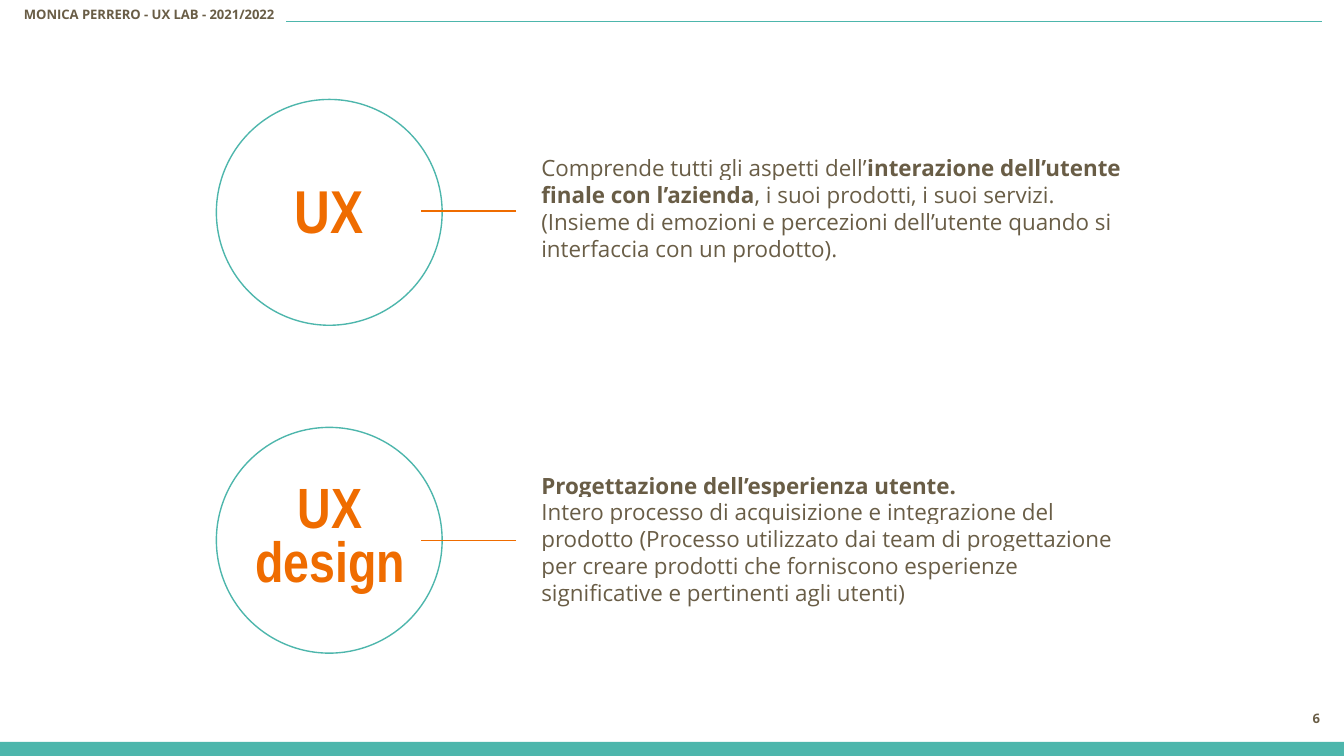
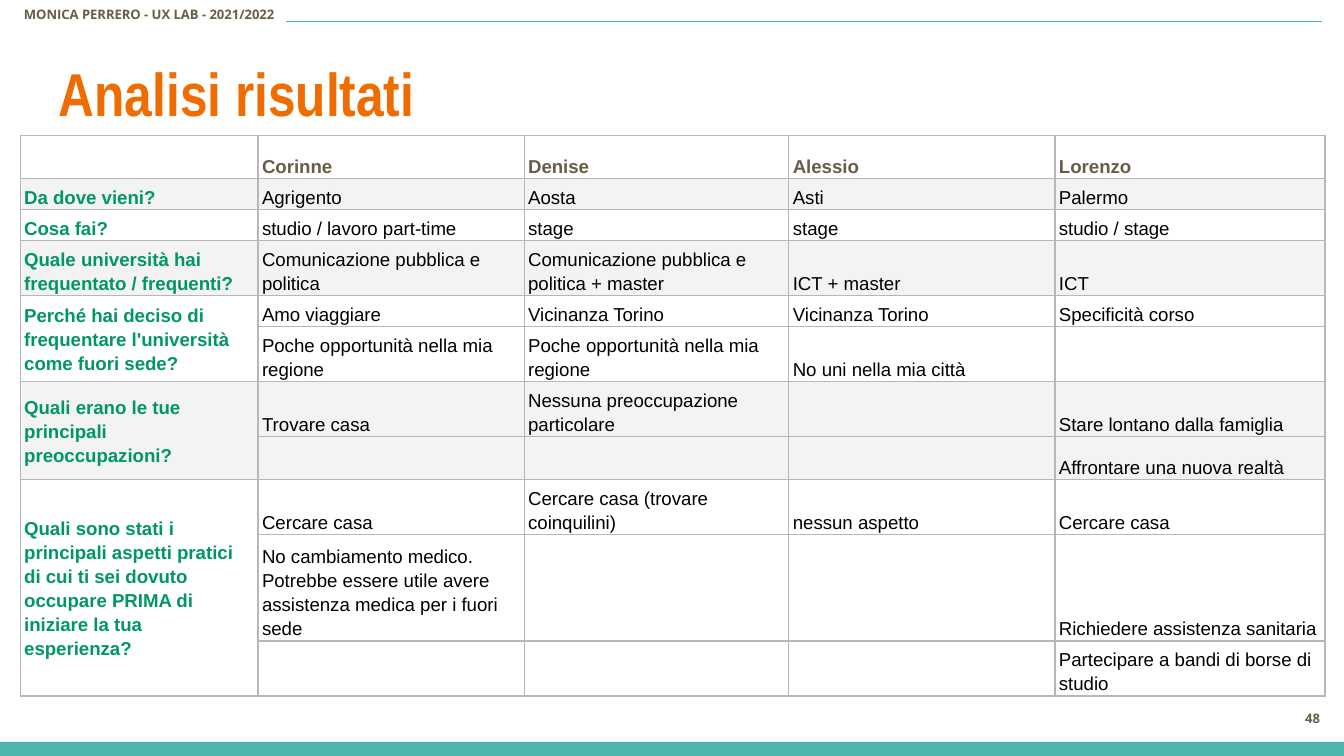
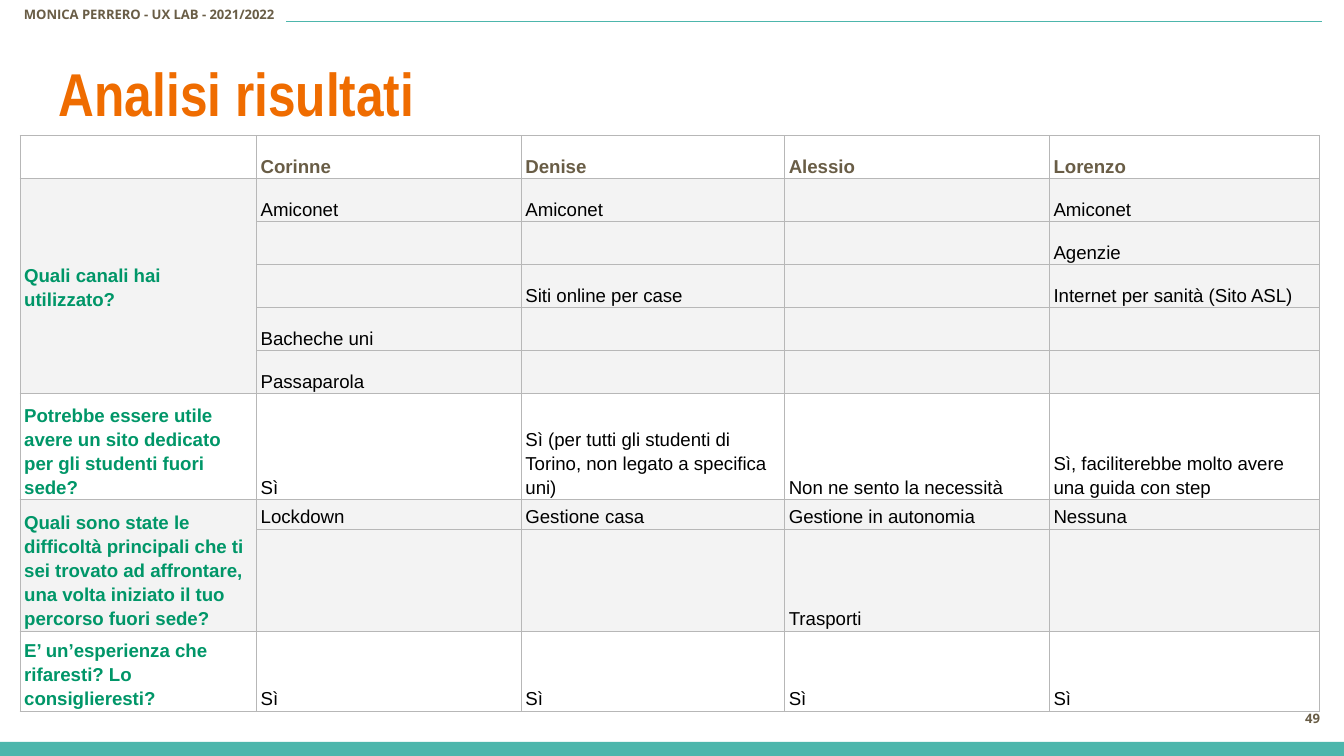
"""Build three UX lab slides: two definitions and two tables of interview results."""
import copy
from dataclasses import dataclass

import lxml.etree
import pptx
import pptx.dml.color
import pptx.enum.shapes
import pptx.enum.text
import pptx.oxml.ns
import pptx.util
from pptx.util import Inches

COLORS = {
    "teal": "4DB6AC",
    "orange": "EF6C00",
    "brown": "695D46",
    "green": "009668",
    "black": "000000",
    "white": "FFFFFF",
    "band": "F3F3F3",
    "grid": "B7B7B7",
}
TITLE = {"font": "Arial Narrow", "size": 32.4, "color": "orange", "bold": True}
BODY = {"font": "Open Sans", "size": 12, "color": "brown"}
SMALL = {"font": "Open Sans", "size": 7, "color": "brown", "bold": True}
CELL = {"font": "Arial", "size": 10}
ALIGN = pptx.enum.text.PP_ALIGN
ANCHOR = pptx.enum.text.MSO_ANCHOR
SHAPE = pptx.enum.shapes.MSO_SHAPE
STUDENTS = ("Corinne", "Denise", "Alessio", "Lorenzo")


@dataclass(frozen=True)
class Box:
    left: float
    top: float
    width: float
    height: float

    def lengths(self) -> tuple:
        return tuple(Inches(value) for value in (self.left, self.top, self.width, self.height))


@dataclass(frozen=True)
class Run:
    text: str
    bold: bool = False
    highlight: str | None = "white"


@dataclass(frozen=True)
class Definition:
    term: tuple[str, ...]
    term_box: Box
    term_size: float
    term_spacing: float
    circle_top: float
    line_y: float
    body_box: Box
    body: tuple[tuple[Run, ...], ...]


@dataclass(frozen=True)
class Question:
    prompt: str
    answers: tuple[tuple[str, str, str, str], ...]


@dataclass(frozen=True)
class Results:
    number: int
    column_widths: tuple[float, ...]
    row_heights: tuple[float, ...]
    questions: tuple[Question, ...]


DEFINITIONS = (
    Definition(
        ("UX",), Box(1.61, 1.19, 1.68, 0.77), 32.4, 1.0, 0.74, 1.57, Box(3.93, 1.05, 4.66, 1.21),
        ((
            Run("Comprende tutti gli aspetti dell’"),
            Run("interazione dell’utente finale con l’azienda", bold=True),
            Run(", i suoi prodotti, i suoi servizi. \n("),
            Run("Insieme di emozioni e percezioni dell’utente quando si interfaccia con un prodotto).",
                highlight=None),
        ),),
    ),
    Definition(
        ("UX", "design"), Box(1.51, 3.22, 1.89, 1.58), 30.4, 0.8, 3.18, 4.02,
        Box(3.93, 3.41, 4.66, 1.3),
        (
            (Run("Progettazione dell’esperienza utente.", bold=True),),
            (Run("Intero processo di acquisizione e integrazione del prodotto (Processo utilizzato "
                 "dai team di progettazione per creare prodotti che forniscono esperienze "
                 "significative e pertinenti agli utenti)"),),
        ),
    ),
)

RESULTS = (
    Results(
        48,
        (1.77, 1.98, 1.97, 1.98, 2.01),
        (0.27, 0.23, 0.23, 0.41, 0.23, 0.41, 0.41, 0.27, 0.41, 0.79, 0.41),
        (
            Question("Da dove vieni?", (("Agrigento", "Aosta", "Asti", "Palermo"),)),
            Question("Cosa fai?", (
                ("studio / lavoro part-time", "stage", "stage", "studio / stage"),
            )),
            Question("Quale università hai frequentato / frequenti?", (
                ("Comunicazione pubblica e politica", "Comunicazione pubblica e politica + master",
                 "ICT + master", "ICT"),
            )),
            Question("Perché hai deciso di frequentare l'università come fuori sede?", (
                ("Amo viaggiare", "Vicinanza Torino", "Vicinanza Torino", "Specificità corso"),
                ("Poche opportunità nella mia regione", "Poche opportunità nella mia regione",
                 "No uni nella mia città", ""),
            )),
            Question("Quali erano le tue principali preoccupazioni?", (
                ("Trovare casa", "Nessuna preoccupazione particolare", "",
                 "Stare lontano dalla famiglia"),
                ("", "", "", "Affrontare una nuova realtà"),
            )),
            Question("Quali sono stati i principali aspetti pratici di cui ti sei dovuto occupare "
                     "PRIMA di iniziare la tua esperienza?", (
                ("Cercare casa", "Cercare casa (trovare coinquilini)", "nessun aspetto",
                 "Cercare casa"),
                ("No cambiamento medico. Potrebbe essere utile avere assistenza medica per i "
                 "fuori sede", "", "", "Richiedere assistenza sanitaria"),
                ("", "", "", "Partecipare a bandi di borse di studio"),
            )),
        ),
    ),
    Results(
        49,
        (1.76, 1.97, 1.96, 1.97, 2.01),
        (0.27, 0.27, 0.27, 0.27, 0.27, 0.27, 0.54, 0.22, 0.68, 0.54),
        (
            Question("Quali canali hai utilizzato?", (
                ("Amiconet", "Amiconet", "", "Amiconet"),
                ("", "", "", "Agenzie"),
                ("", "Siti online per case", "", "Internet per sanità (Sito ASL)"),
                ("Bacheche uni", "", "", ""),
                ("Passaparola", "", "", ""),
            )),
            Question("Potrebbe essere utile avere un sito dedicato per gli studenti fuori sede?", (
                ("Sì", "Sì (per tutti gli studenti di Torino, non legato a specifica uni)",
                 "Non ne sento la necessità", "Sì, faciliterebbe molto avere una guida con step"),
            )),
            Question("Quali sono state le difficoltà principali che ti sei trovato ad affrontare, "
                     "una volta iniziato il tuo percorso fuori sede?", (
                ("Lockdown", "Gestione casa", "Gestione in autonomia", "Nessuna"),
                ("", "", "Trasporti", ""),
            )),
            Question("E’ un’esperienza che rifaresti? Lo consiglieresti?", (("Sì",) * 4,)),
        ),
    ),
)


def rgb(name: str) -> pptx.dml.color.RGBColor:
    return pptx.dml.color.RGBColor.from_string(COLORS[name])


def add_text(paragraph, text: str, *, font: str, size: float, color: str,
             bold: bool = False, highlight: str | None = None) -> None:
    for index, part in enumerate(text.split("\n")):
        if index:
            paragraph.add_line_break()
            paragraph._p[-1].append(copy.deepcopy(run._r.rPr))
        run = paragraph.add_run()
        run.text = part
        run.font.size = pptx.util.Pt(size)
        run.font.bold = bold
        run.font.color.rgb = rgb(color)
        run.font.name = font
        if highlight:
            mark = lxml.etree.Element(pptx.oxml.ns.qn("a:highlight"))
            lxml.etree.SubElement(mark, pptx.oxml.ns.qn("a:srgbClr"), val=COLORS[highlight])
            run._r.rPr.find(pptx.oxml.ns.qn("a:solidFill")).addnext(mark)


def add_text_box(slide, box: Box, paragraphs, *, align=ALIGN.LEFT, anchor=ANCHOR.TOP,
                 spacing: float = 1.0, **text_format):
    frame = slide.shapes.add_textbox(*box.lengths()).text_frame
    frame.word_wrap = True
    frame.vertical_anchor = anchor
    frame.margin_left = frame.margin_right = Inches(0.1)
    frame.margin_top = frame.margin_bottom = Inches(0.1)
    for index, runs in enumerate(paragraphs):
        paragraph = frame.add_paragraph() if index else frame.paragraphs[0]
        paragraph.alignment = align
        if spacing != 1:
            paragraph.line_spacing = spacing
        for run in runs:
            run_format = {"bold": run.bold, "highlight": run.highlight, **text_format}
            add_text(paragraph, run.text, **run_format)
    return frame


def add_plain(slide, box: Box, *lines: str, **text_format):
    paragraphs = [(Run(line, highlight=None),) for line in lines]
    return add_text_box(slide, box, paragraphs, **text_format)


def add_shape(slide, kind, box: Box, *, fill: str | None = None, line: str | None = None) -> None:
    shape = slide.shapes.add_shape(kind, *box.lengths())
    shape.shadow.inherit = False
    if fill:
        shape.fill.solid()
        shape.fill.fore_color.rgb = rgb(fill)
    else:
        shape.fill.background()
    if line:
        shape.line.color.rgb = rgb(line)
        shape.line.width = pptx.util.Pt(0.75)
    else:
        shape.line.fill.background()


def add_level_line(slide, start: float, end: float, y: float, color: str) -> None:
    connector = slide.shapes.add_connector(
        pptx.enum.shapes.MSO_CONNECTOR.STRAIGHT, Inches(start), Inches(y), Inches(end), Inches(y))
    connector.line.color.rgb = rgb(color)
    connector.line.width = pptx.util.Pt(0.75)
    lxml.etree.SubElement(connector._element.spPr, pptx.oxml.ns.qn("a:effectLst"))


def add_slide(presentation, number: int):
    slide = presentation.slides.add_slide(presentation.slide_layouts[6])
    add_shape(slide, SHAPE.RECTANGLE, Box(0, 5.52, 10, 0.11), fill="teal")
    header = add_plain(slide, Box(0.08, -0.01, 2.45, 0.32),
                       "MONICA PERRERO - UX LAB - 2021/2022", **SMALL)
    header.auto_size = pptx.enum.text.MSO_AUTO_SIZE.SHAPE_TO_FIT_TEXT
    add_level_line(slide, 2.13, 9.84, 0.16, "teal")
    add_plain(slide, Box(9.32, 5.13, 0.6, 0.43), str(number),
              align=ALIGN.RIGHT, anchor=ANCHOR.MIDDLE, **SMALL)
    return slide


def add_definition(slide, definition: Definition) -> None:
    add_shape(slide, SHAPE.OVAL, Box(1.61, definition.circle_top, 1.68, 1.68), line="teal")
    add_plain(slide, definition.term_box, *definition.term, align=ALIGN.CENTER,
              anchor=ANCHOR.MIDDLE if len(definition.term) > 1 else ANCHOR.TOP,
              spacing=definition.term_spacing, **{**TITLE, "size": definition.term_size})
    add_text_box(slide, definition.body_box, definition.body, **BODY)
    add_level_line(slide, 3.84, 3.13, definition.line_y, "orange")


def style_cell(cell, shaded: bool) -> None:
    cell.margin_left = cell.margin_right = Inches(0.03)
    cell.margin_top = cell.margin_bottom = Inches(0.01)
    cell.vertical_anchor = ANCHOR.BOTTOM
    properties = cell._tc.get_or_add_tcPr()
    for side in ("lnL", "lnR", "lnT", "lnB"):
        border = lxml.etree.SubElement(properties, pptx.oxml.ns.qn(f"a:{side}"),
                                       w=str(pptx.util.Pt(0.75)))
        fill = lxml.etree.SubElement(border, pptx.oxml.ns.qn("a:solidFill"))
        lxml.etree.SubElement(fill, pptx.oxml.ns.qn("a:srgbClr"), val=COLORS["grid"])
    if shaded:
        cell.fill.solid()
        cell.fill.fore_color.rgb = rgb("band")
    else:
        cell.fill.background()


def write_cell(cell, text: str, color: str, bold: bool) -> None:
    if text:
        paragraph = cell.text_frame.paragraphs[0]
        paragraph.line_spacing = 1.15
        add_text(paragraph, text, color=color, bold=bold, **CELL)


def add_results_table(slide, results: Results) -> None:
    widths, heights = results.column_widths, results.row_heights
    box = Box(0.15, 1.01, 3.28, 3.28)
    frame = slide.shapes.add_table(len(heights), len(widths), *box.lengths())
    table = frame.table
    table.first_row = table.horz_banding = False
    for column, width in zip(table.columns, widths):
        column.width = Inches(width)
    for row, height in zip(table.rows, heights):
        row.height = Inches(height)
    frame.width, frame.height = Inches(box.width), Inches(box.height)
    for column, student in enumerate(("", *STUDENTS)):
        style_cell(table.cell(0, column), shaded=False)
        write_cell(table.cell(0, column), student, "brown", bold=True)
    top = 1
    for index, question in enumerate(results.questions):
        for row, answers in enumerate(question.answers, top):
            for column, answer in enumerate(("", *answers)):
                style_cell(table.cell(row, column), shaded=index % 2 == 0)
                write_cell(table.cell(row, column), answer, "black", bold=False)
        prompt_cell = table.cell(top, 0)
        write_cell(prompt_cell, question.prompt, "green", bold=True)
        span = len(question.answers)
        if span > 1:
            prompt_cell.merge(table.cell(top + span - 1, 0))
            if not question.prompt.startswith("Quali sono state"):
                prompt_cell.vertical_anchor = ANCHOR.MIDDLE
        top += span


def main() -> None:
    presentation = pptx.Presentation()
    presentation.slide_width = Inches(10)
    presentation.slide_height = presentation.slide_width * 9 // 16
    slide = add_slide(presentation, 6)
    for definition in DEFINITIONS:
        add_definition(slide, definition)
    for results in RESULTS:
        slide = add_slide(presentation, results.number)
        add_plain(slide, Box(0.34, 0.32, 9.32, 0.77), "Analisi risultati", **TITLE)
        add_results_table(slide, results)
    presentation.save("out.pptx")


if __name__ == "__main__":
    main()
